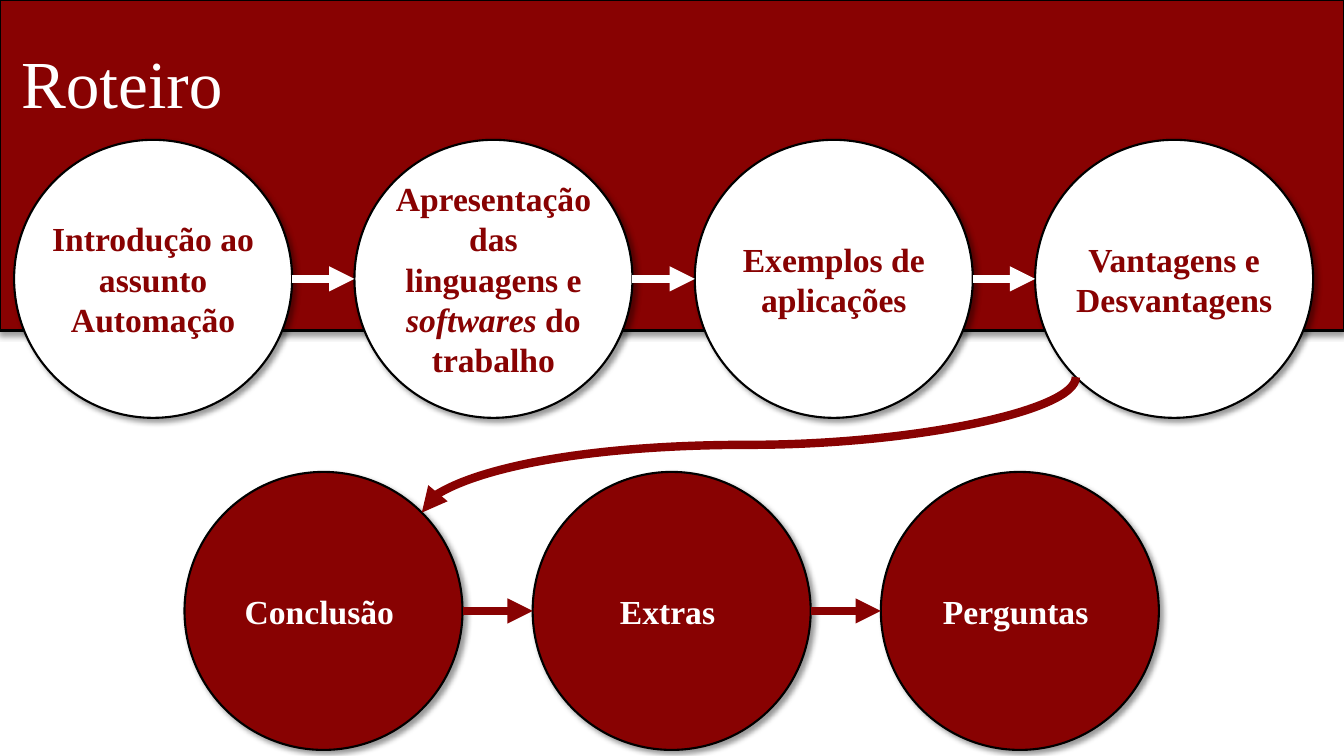
import dataclasses
import math

import lxml.etree
import pptx
import pptx.dml.color
import pptx.enum.shapes
import pptx.enum.text
import pptx.oxml.ns
import pptx.util

Pt = pptx.util.Pt
qn = pptx.oxml.ns.qn
SHAPE = pptx.enum.shapes.MSO_SHAPE
CONNECTOR = pptx.enum.shapes.MSO_CONNECTOR
ANCHOR = pptx.enum.text.MSO_ANCHOR
ALIGN = pptx.enum.text.PP_ALIGN


@dataclasses.dataclass(frozen=True)
class Theme:
    red: str = "880202"
    white: str = "FFFFFF"
    black: str = "000000"
    font: str = "Times New Roman"
    title_size: float = 48
    label_size: float = 24
    band_line: float = 2
    circle_line: float = 1.5
    arrow_line: float = 6


@dataclasses.dataclass(frozen=True)
class Step:
    text: str
    width: float
    lines: int
    italic: str = ""
    rest: str = ""


@dataclasses.dataclass(frozen=True)
class Row:
    left: float
    center_y: float
    pitch: float
    fill: str
    ink: str
    arrow: str
    steps: tuple[Step, ...]

    def center_x(self, i: int) -> float:
        return self.left + i * self.pitch + DIAMETER / 2


THEME = Theme()
WIDTH, HEIGHT = 960, 540
BAND_HEIGHT = 236.2
DIAMETER = 198.6
LINE_HEIGHT = 28.8
PADDING = 7.2

ROWS = (
    Row(10.1, 199.2, 243.1, THEME.white, THEME.red, THEME.white, (
        Step("Introdução ao assunto Automação", 168.5, 3),
        Step("Apresentação das linguagens e ", 156.2, 5, "softwares ", "do trabalho"),
        Step("Exemplos de aplicações", 147.6, 2),
        Step("Vantagens e Desvantagens", 156.2, 2),
    )),
    Row(131.8, 436.4, 248.7, THEME.red, THEME.white, THEME.red, (
        Step("Conclusão ", 145.4, 1),
        Step("Extras ", 114.5, 1),
        Step("Perguntas ", 141.8, 1),
    )),
)


def rgb(color: str) -> pptx.dml.color.RGBColor:
    return pptx.dml.color.RGBColor.from_string(color)


def add_shadow(sp, angle: int) -> None:
    sp.shadow.inherit = False
    effects = sp.element.spPr.find(qn("a:effectLst"))
    shadow = lxml.etree.SubElement(
        effects, qn("a:outerShdw"), blurRad=str(Pt(4)), dist=str(Pt(3)),
        dir=str(angle * 60000), algn="ctr", rotWithShape="0")
    color = lxml.etree.SubElement(shadow, qn("a:srgbClr"), val=THEME.black)
    lxml.etree.SubElement(color, qn("a:alpha"), val="40000")


def add_filled(s, kind, x: float, y: float, w: float, h: float,
               fill: str, line: float, angle: int):
    sp = s.shapes.add_shape(kind, Pt(x), Pt(y), Pt(w), Pt(h))
    sp.fill.solid()
    sp.fill.fore_color.rgb = rgb(fill)
    sp.line.color.rgb = rgb(THEME.black)
    sp.line.width = Pt(line)
    add_shadow(sp, angle)
    return sp


def format_run(r, size: float, color: str, bold: bool, italic: bool = False) -> None:
    r.font.name = THEME.font
    r.font.size = Pt(size)
    r.font.color.rgb = rgb(color)
    r.font.bold = bold
    r.font.italic = italic


def add_label(s, step: Step, cx: float, cy: float, ink: str) -> None:
    h = step.lines * LINE_HEIGHT + PADDING
    sp = s.shapes.add_textbox(
        Pt(cx - step.width / 2), Pt(cy - h / 2), Pt(step.width), Pt(h))
    tf = sp.text_frame
    tf.word_wrap = True
    tf.vertical_anchor = ANCHOR.MIDDLE
    tf.text = step.text
    p = tf.paragraphs[0]
    p.alignment = ALIGN.CENTER
    for text in filter(None, (step.italic, step.rest)):
        p.add_run().text = text
    for i, r in enumerate(p.runs):
        format_run(r, THEME.label_size, ink, True, i == 1)


def add_arrow(s, kind, x1: float, y1: float, x2: float, y2: float, color: str):
    sp = s.shapes.add_connector(kind, Pt(x1), Pt(y1), Pt(x2), Pt(y2))
    sp.line.color.rgb = rgb(color)
    sp.line.width = Pt(THEME.arrow_line)
    lxml.etree.SubElement(sp.line._get_or_add_ln(), qn("a:tailEnd"), type="triangle")
    lxml.etree.SubElement(sp.element.spPr, qn("a:effectLst"))
    return sp


def add_return_curve(s, x1: float, y1: float, x2: float, y2: float) -> None:
    w, h = y2 - y1, x1 - x2
    x, y = (x1 + x2 - w) / 2, (y1 + y2 - h) / 2
    sp = add_arrow(s, CONNECTOR.CURVE, x, y, x + w, y + h, THEME.red)
    sp.element.spPr.find(qn("a:xfrm")).set("rot", str(90 * 60000))


def add_title(s) -> None:
    sp = s.shapes.title
    sp.left, sp.top, sp.width, sp.height = Pt(7.9), Pt(25.9), Pt(943.2), Pt(64.8)
    tf = sp.text_frame
    tf.text = "Roteiro"
    tf.word_wrap = True
    tf.auto_size = pptx.enum.text.MSO_AUTO_SIZE.NONE
    tf.vertical_anchor = ANCHOR.TOP
    p = tf.paragraphs[0]
    p.alignment = ALIGN.LEFT
    format_run(p.runs[0], THEME.title_size, THEME.white, False)


def add_row(s, row: Row) -> None:
    radius = DIAMETER / 2
    for i, step in enumerate(row.steps):
        cx = row.center_x(i)
        add_filled(s, SHAPE.OVAL, cx - radius, row.center_y - radius,
                   DIAMETER, DIAMETER, row.fill, THEME.circle_line, 45)
        add_label(s, step, cx, row.center_y, row.ink)
    for i in range(len(row.steps) - 1):
        add_arrow(s, CONNECTOR.STRAIGHT, row.center_x(i) + radius, row.center_y,
                  row.center_x(i + 1) - radius, row.center_y, row.arrow)


def main() -> None:
    prs = pptx.Presentation()
    prs.slide_width, prs.slide_height = Pt(WIDTH), Pt(HEIGHT)
    s = prs.slides.add_slide(prs.slide_layouts[5])
    band = add_filled(s, SHAPE.RECTANGLE, 0, 0, WIDTH, BAND_HEIGHT,
                      THEME.red, THEME.band_line, 90)
    s.shapes.title.element.addprevious(band.element)
    add_title(s)
    for row in ROWS:
        add_row(s, row)
    top, bottom = ROWS
    reach = DIAMETER / 2 * math.sqrt(0.5)
    add_return_curve(s, top.center_x(len(top.steps) - 1) - reach, top.center_y + reach,
                     bottom.center_x(0) + reach, bottom.center_y - reach)
    prs.save("out.pptx")


if __name__ == "__main__":
    main()
